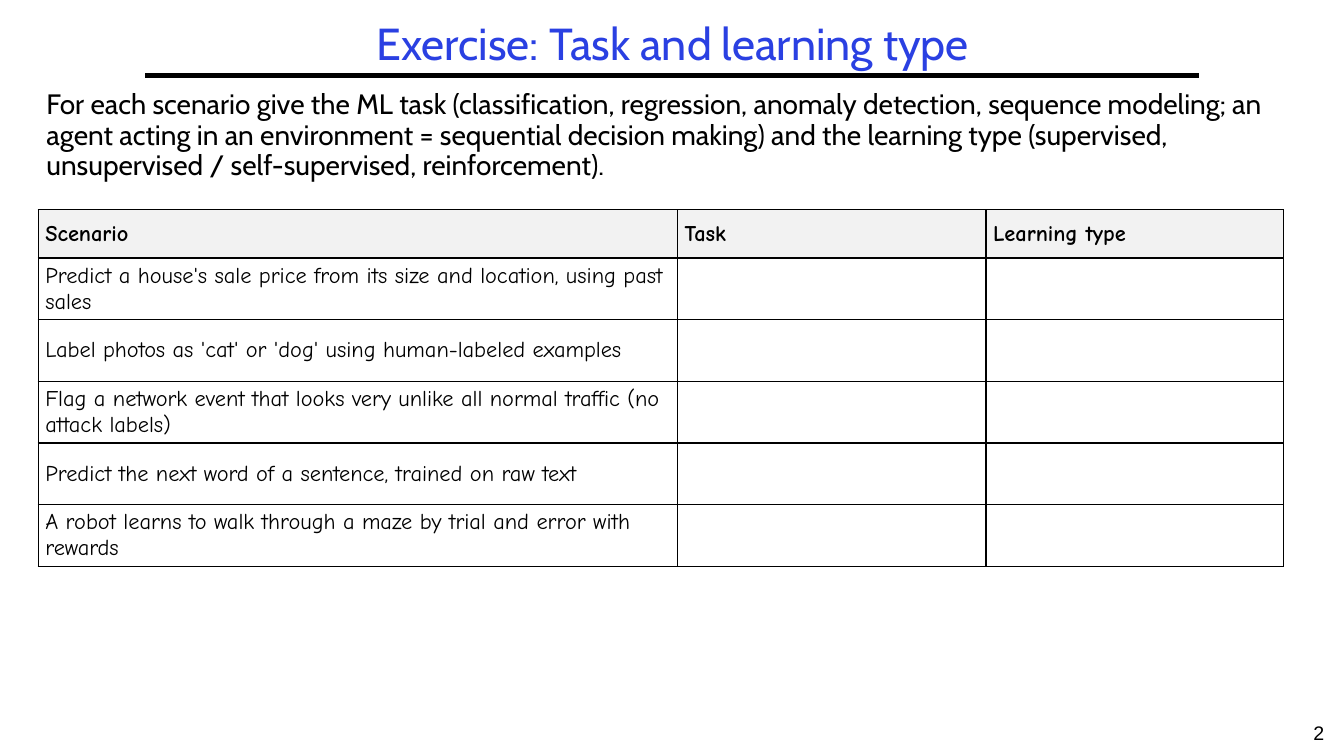
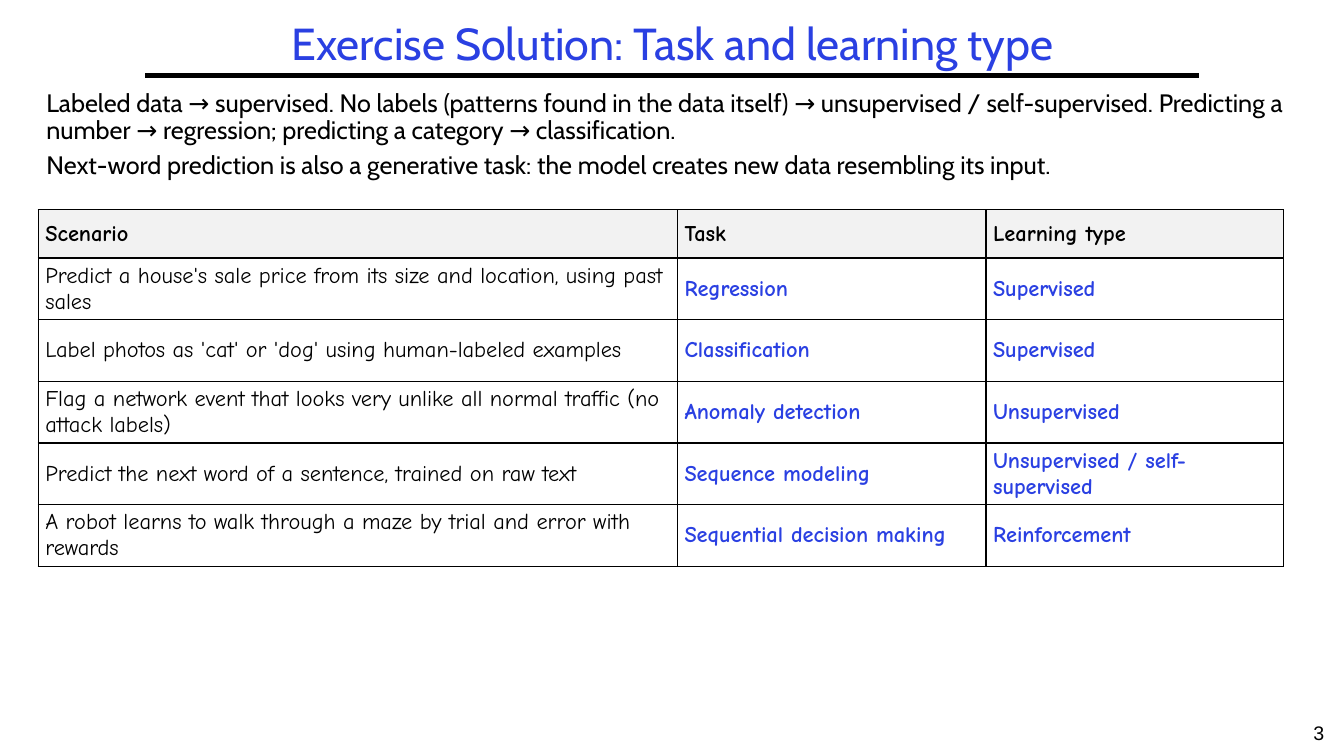
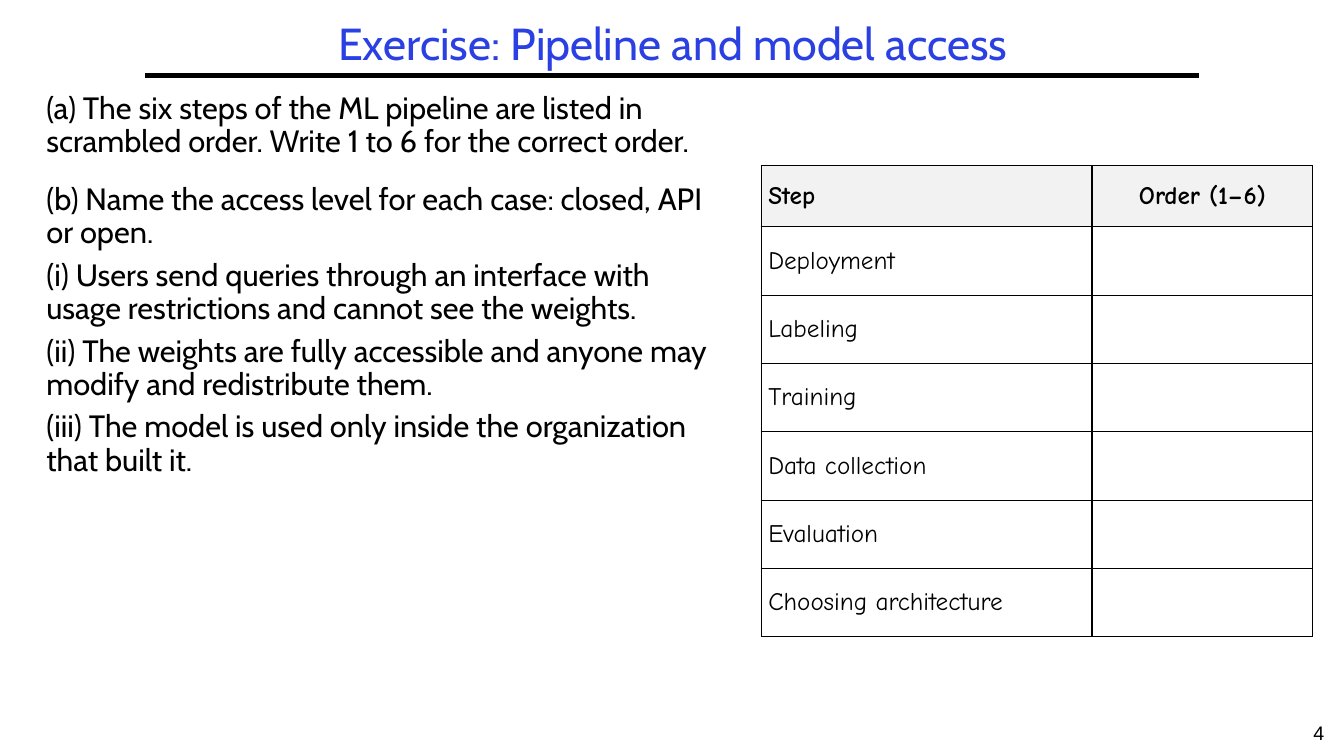
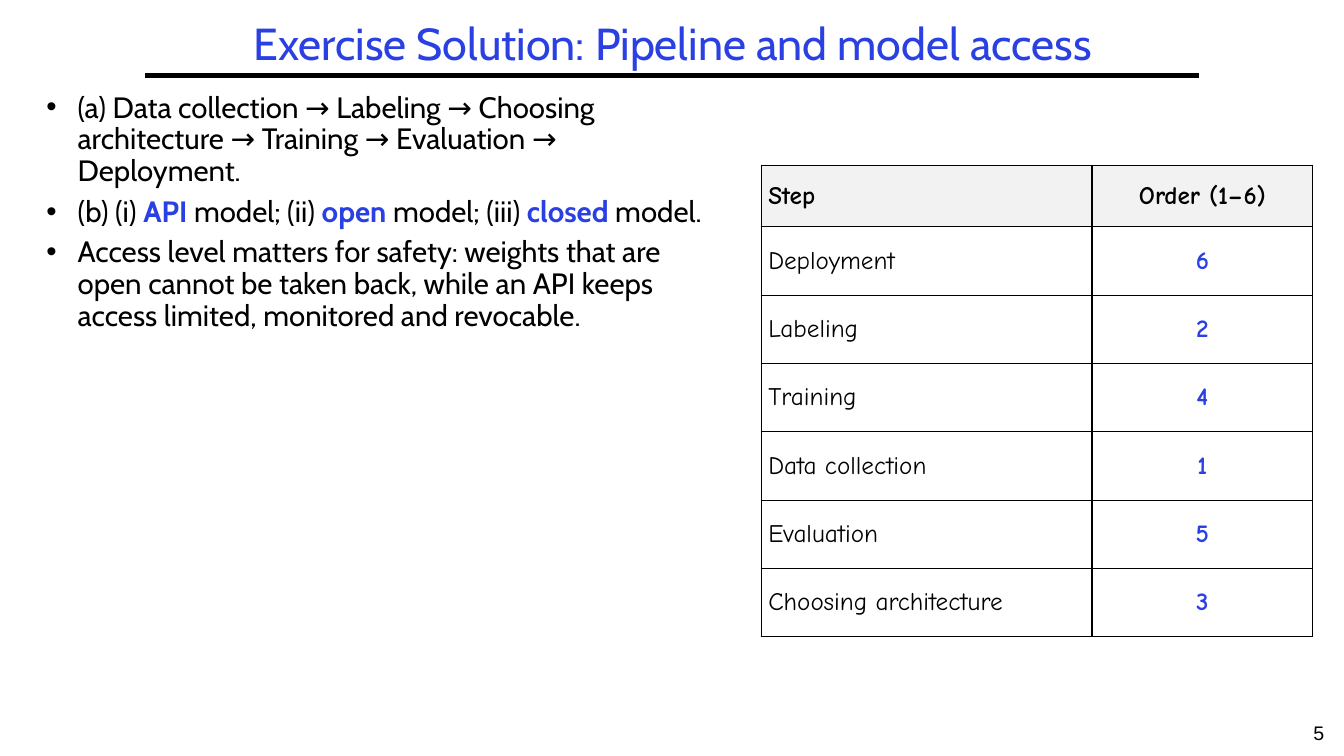
import dataclasses
import typing

import lxml.etree
import pptx
import pptx.dml.color
import pptx.enum.shapes
import pptx.enum.text
import pptx.oxml.ns
import pptx.util

# Shared look
BLUE = pptx.dml.color.RGBColor(0x2A, 0x40, 0xE2)
BLACK = pptx.dml.color.RGBColor(0x00, 0x00, 0x00)
HEADER_GREY = pptx.dml.color.RGBColor(0xF2, 0xF2, 0xF2)
TEXT_FONT, TABLE_FONT, NUMBER_FONT = "Cabin", "Comic Neue", "Arial"
LEFT = pptx.enum.text.PP_ALIGN.LEFT
CENTER = pptx.enum.text.PP_ALIGN.CENTER
MIDDLE = pptx.enum.text.MSO_ANCHOR.MIDDLE
WIDTH, HEIGHT = pptx.util.Inches(13.33), pptx.util.Inches(7.5)
LINE_SPACING = 0.9
PARA_GAP = 0.3  # share of the text size
BULLET_INDENT = pptx.util.Inches(0.31)
FIRST_NUMBER = 2


def across(share: float) -> int:
    """Length of a percentage of the slide's width."""
    return round(WIDTH * share / 100)


def down(share: float) -> int:
    """Length of a percentage of the slide's height."""
    return round(HEIGHT * share / 100)


@dataclasses.dataclass(frozen=True)
class Frame:
    """Place of a box in percent of the slide's width and height."""
    left: float
    top: float
    width: float
    height: float

    def lengths(self) -> tuple[int, int, int, int]:
        return across(self.left), down(self.top), across(self.width), down(self.height)

    def place(self, shape: typing.Any) -> None:
        shape.left, shape.top, shape.width, shape.height = self.lengths()


class Span(typing.NamedTuple):
    text: str
    strong: bool = False


class Para(typing.NamedTuple):
    spans: list[Span]
    gap: float = PARA_GAP


@dataclasses.dataclass(frozen=True)
class Body:
    frame: Frame
    size: float
    paras: list[Para]
    bulleted: bool = False


@dataclasses.dataclass(frozen=True)
class Grid:
    """Table layout: columns in percent of width, rows in percent of height."""
    left: float
    top: float
    columns: tuple[float, ...]
    header_row: float
    row: float
    size: float
    header: tuple[str, ...]
    aligns: tuple[typing.Any, ...]


@dataclasses.dataclass(frozen=True)
class Page:
    title: str
    body: Body
    grid: Grid
    rows: list[tuple[str, ...]]
    solved: bool


TITLE_FRAME = Frame(10.8, 2.27, 78.54, 7.73)
NUMBER_FRAME = Frame(96.25, 94.67, 3.75, 5.33)
WIDE_FRAME = Frame(2.7, 11.33, 94.37, 16.27)
HALF_FRAME = Frame(2.7, 11.6, 51.69, 80.13)
RULE_START, RULE_END, RULE_TOP = 10.8, 89.2, 10

TASK_GRID = Grid(2.85, 27.73, (47.56, 22.96, 22.13), 6.4, 8.16, 16,
                 ("Scenario", "Task", "Learning type"), (LEFT, LEFT, LEFT))
STEP_GRID = Grid(56.64, 21.87, (24.61, 16.43), 8.13, 9.04, 18,
                 ("Step", "Order (1–6)"), (LEFT, CENTER))

# Contents
TASK_ROWS = [
    ("Predict a house's sale price from its size and location, using past sales",
     "Regression", "Supervised"),
    ("Label photos as 'cat' or 'dog' using human-labeled examples",
     "Classification", "Supervised"),
    ("Flag a network event that looks very unlike all normal traffic (no attack labels)",
     "Anomaly detection", "Unsupervised"),
    ("Predict the next word of a sentence, trained on raw text",
     "Sequence modeling", "Unsupervised / self-supervised"),
    ("A robot learns to walk through a maze by trial and error with rewards",
     "Sequential decision making", "Reinforcement"),
]
STEP_ROWS = [("Deployment", "6"), ("Labeling", "2"), ("Training", "4"),
             ("Data collection", "1"), ("Evaluation", "5"), ("Choosing architecture", "3")]


def plain(text: str, gap: float = PARA_GAP) -> Para:
    return Para([Span(text)], gap)


PAGES = [
    Page("Exercise: Task and learning type", Body(WIDE_FRAME, 20, [
        plain("For each scenario give the ML task (classification, regression, anomaly "
              "detection, sequence modeling; an agent acting in an environment = sequential "
              "decision making) and the learning type (supervised, unsupervised / "
              "self-supervised, reinforcement)."),
    ]), TASK_GRID, TASK_ROWS, solved=False),
    Page("Exercise Solution: Task and learning type", Body(WIDE_FRAME, 18, [
        plain("Labeled data → supervised. No labels (patterns found in the data itself) → "
              "unsupervised / self-supervised. Predicting a number → regression; predicting "
              "a category → classification."),
        plain("Next-word prediction is also a generative task: the model creates new data "
              "resembling its input."),
    ]), TASK_GRID, TASK_ROWS, solved=True),
    Page("Exercise: Pipeline and model access", Body(HALF_FRAME, 22, [
        plain("(a) The six steps of the ML pipeline are listed in scrambled order. "
              "Write 1 to 6 for the correct order."),
        plain("(b) Name the access level for each case: closed, API or open.", gap=0.8),
        plain("(i) Users send queries through an interface with usage restrictions and "
              "cannot see the weights."),
        plain("(ii) The weights are fully accessible and anyone may modify and "
              "redistribute them."),
        plain("(iii) The model is used only inside the organization that built it."),
    ]), STEP_GRID, STEP_ROWS, solved=False),
    Page("Exercise Solution: Pipeline and model access", Body(HALF_FRAME, 21, [
        plain("(a) Data collection → Labeling → Choosing architecture → Training → "
              "Evaluation → Deployment."),
        Para([Span("(b) (i) "), Span("API", True), Span(" model; (ii) "), Span("open", True),
              Span(" model; (iii) "), Span("closed", True), Span(" model.")]),
        plain("Access level matters for safety: weights that are open cannot be taken back, "
              "while an API keeps access limited, monitored and revocable."),
    ], bulleted=True), STEP_GRID, STEP_ROWS, solved=True),
]


# Text
def add_span(para: typing.Any, text: str, font: str, size: float,
             color: pptx.dml.color.RGBColor = BLACK, bold: bool = False) -> None:
    span = para.add_run()
    span.text = text
    span.font.name, span.font.size = font, pptx.util.Pt(size)
    span.font.bold, span.font.color.rgb = bold, color


def add_element(parent: typing.Any, tag: str, **attributes: str) -> typing.Any:
    return lxml.etree.SubElement(parent, pptx.oxml.ns.qn(tag), attributes)


def set_bullet(para: typing.Any, bulleted: bool) -> None:
    properties = para._p.get_or_add_pPr()
    indent = BULLET_INDENT if bulleted else 0
    properties.set("marL", str(indent))
    properties.set("indent", str(-indent))
    if bulleted:
        add_element(properties, "a:buChar", char="•")
    else:
        add_element(properties, "a:buNone")


def fill_title(box: typing.Any, title: str) -> None:
    TITLE_FRAME.place(box)
    frame = box.text_frame
    frame.auto_size = pptx.enum.text.MSO_AUTO_SIZE.NONE
    frame.vertical_anchor = MIDDLE
    para = frame.paragraphs[0]
    para.alignment, para.line_spacing = CENTER, LINE_SPACING
    add_span(para, title, TEXT_FONT, 32, BLUE)


def fill_body(box: typing.Any, body: Body) -> None:
    body.frame.place(box)
    frame = box.text_frame
    frame.auto_size = pptx.enum.text.MSO_AUTO_SIZE.NONE
    for index, content in enumerate(body.paras):
        para = frame.add_paragraph() if index else frame.paragraphs[0]
        set_bullet(para, body.bulleted)
        para.line_spacing = LINE_SPACING
        para.space_before = pptx.util.Pt(body.size * content.gap if index else 0)
        for span in content.spans:
            add_span(para, span.text, TEXT_FONT, body.size,
                     BLUE if span.strong else BLACK, span.strong)


# Rule and slide number
def add_furniture(slide: typing.Any, number: int) -> None:
    rule = slide.shapes.add_connector(
        pptx.enum.shapes.MSO_CONNECTOR.STRAIGHT,
        across(RULE_START), down(RULE_TOP), across(RULE_END), down(RULE_TOP))
    rule.line.color.rgb, rule.line.width = BLACK, pptx.util.Pt(3)
    add_element(rule._element.spPr, "a:effectLst")

    box = slide.shapes.add_textbox(*NUMBER_FRAME.lengths())
    box.text_frame.word_wrap = True
    para = box.text_frame.paragraphs[0]
    para.alignment = CENTER
    add_span(para, str(number), NUMBER_FONT, 14)


# Tables
def add_borders(cell: typing.Any) -> None:
    properties = cell._tc.get_or_add_tcPr()
    for index, side in enumerate(("a:lnL", "a:lnR", "a:lnT", "a:lnB")):
        border = add_element(properties, side, w=str(pptx.util.Pt(1)))
        add_element(add_element(border, "a:solidFill"), "a:srgbClr", val=str(BLACK))
        properties.insert(index, border)


def fill_cell(cell: typing.Any, text: str, size: float, align: typing.Any,
              color: pptx.dml.color.RGBColor, bold: bool) -> None:
    cell.vertical_anchor = MIDDLE
    cell.margin_left = cell.margin_right = pptx.util.Inches(0.07)
    cell.margin_top = cell.margin_bottom = pptx.util.Inches(0.03)
    if text:
        para = cell.text_frame.paragraphs[0]
        para.alignment = align
        add_span(para, text, TABLE_FONT, size, color, bold)


def add_grid(slide: typing.Any, grid: Grid, rows: list[tuple[str, ...]], solved: bool) -> None:
    height = grid.header_row + grid.row * len(rows)
    place = Frame(grid.left, grid.top, sum(grid.columns), height)
    table = slide.shapes.add_table(
        len(rows) + 1, len(grid.columns), *place.lengths()).table
    table.horz_banding = False
    for column, share in zip(table.columns, grid.columns):
        column.width = across(share)
    for row_index, texts in enumerate([grid.header, *rows]):
        is_header = row_index == 0
        table.rows[row_index].height = down(grid.header_row if is_header else grid.row)
        for column_index, text in enumerate(texts):
            cell = table.cell(row_index, column_index)
            is_answer = not is_header and column_index > 0
            fill_cell(cell, "" if is_answer and not solved else text, grid.size,
                      grid.aligns[column_index], BLUE if is_answer else BLACK,
                      is_header or is_answer)
            if is_header:
                cell.fill.solid()
                cell.fill.fore_color.rgb = HEADER_GREY
            else:
                cell.fill.background()
            add_borders(cell)


def main() -> None:
    deck = pptx.Presentation()
    deck.slide_width, deck.slide_height = WIDTH, HEIGHT
    layout = deck.slide_layouts[1]
    for number, page in enumerate(PAGES, FIRST_NUMBER):
        slide = deck.slides.add_slide(layout)
        add_furniture(slide, number)
        fill_title(slide.shapes.title, page.title)
        fill_body(slide.placeholders[1], page.body)
        add_grid(slide, page.grid, page.rows, page.solved)
    deck.save("out.pptx")


if __name__ == "__main__":
    main()
